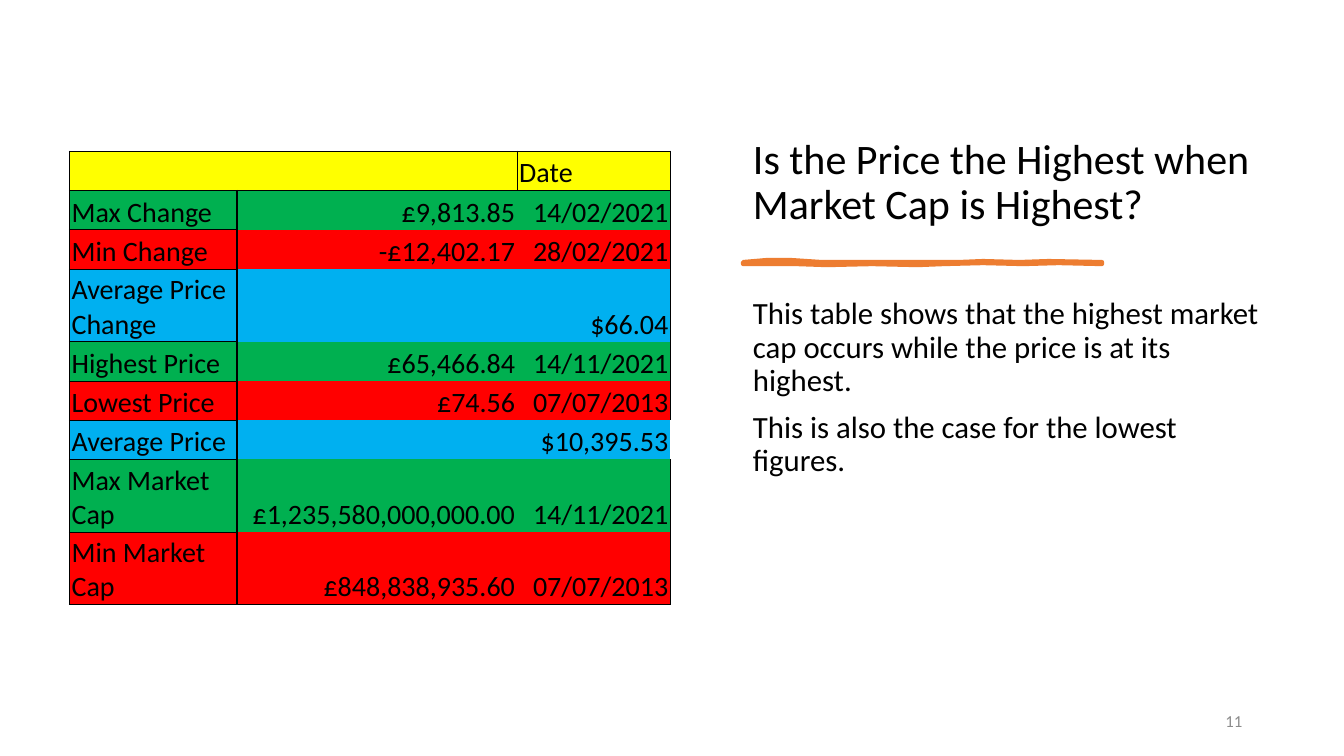
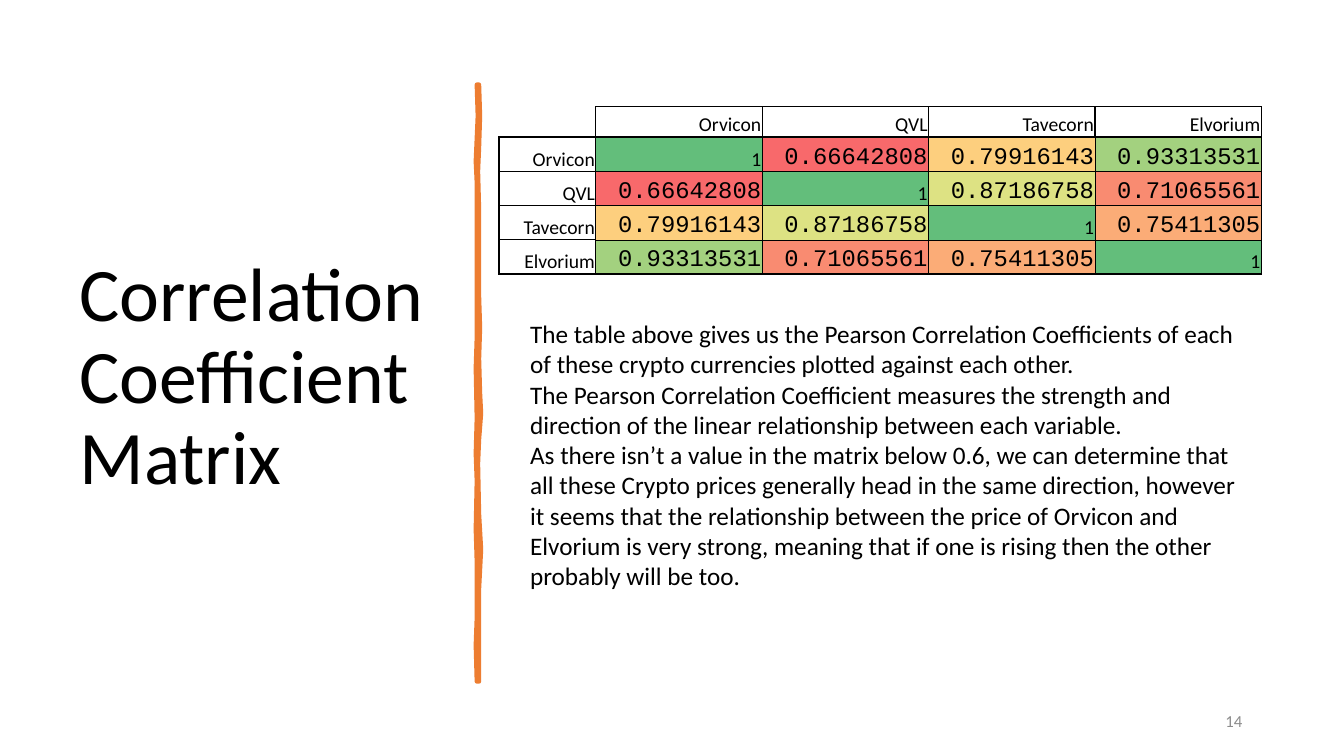
from pptx import Presentation
from pptx.dml.color import RGBColor
from pptx.enum.text import MSO_ANCHOR, PP_ALIGN
from pptx.oxml.ns import qn
from pptx.util import Inches, Pt
from lxml.etree import SubElement

C = {
    "black": "000000", "grey": "8C8C8C", "orange": "ED7D31",
    "yellow": "FFFF00", "green": "00B050", "red": "FF0000", "blue": "00B0F0",
}
NO_STYLE = "{2D5ABB26-0587-4C30-8999-92F81FD0307C}"
LEFT, RIGHT = PP_ALIGN.LEFT, PP_ALIGN.RIGHT
TOP, MIDDLE, BOTTOM = MSO_ANCHOR.TOP, MSO_ANCHOR.MIDDLE, MSO_ANCHOR.BOTTOM


def write(tf, lines, size, font="Calibri", color="black", align=LEFT,
          spacing=1.0, before=0):
    """Fill a text frame, one paragraph per line."""
    tf.word_wrap = True
    for i, line in enumerate(lines):
        p = tf.add_paragraph() if i else tf.paragraphs[0]
        p.alignment = align
        p.line_spacing = spacing
        p.space_before = Pt(before)
        if not line:
            SubElement(p._p, qn("a:endParaRPr"), sz=str(size * 100))
            continue
        r = p.add_run()
        r.text = line
        r.font.size = Pt(size)
        r.font.name = font
        r.font.color.rgb = RGBColor.from_string(C[color])


def format_cell(cell, text, borders, fill=None, inset=0.02, **style):
    """Set a cell's borders (side -> points), fill and bottom-anchored text."""
    tcPr = cell._tc.get_or_add_tcPr()
    for side in "LRTB":
        width = borders.get(side, 0)
        ln = SubElement(tcPr, qn("a:ln" + side), w=str(Pt(width)))
        if width:
            solid = SubElement(ln, qn("a:solidFill"))
            SubElement(solid, qn("a:srgbClr"), val=C["black"])
        else:
            SubElement(ln, qn("a:noFill"))
    if fill:
        cell.fill.solid()
        cell.fill.fore_color.rgb = RGBColor.from_string(fill)
    else:
        cell.fill.background()
    cell.margin_left = cell.margin_right = cell.margin_top = Inches(inset)
    cell.margin_bottom = 0
    cell.vertical_anchor = BOTTOM
    write(cell.text_frame, [text], **style)


prs = Presentation()
prs.slide_width, prs.slide_height = Inches(13.33), Inches(7.5)
price_slide, matrix_slide = [
    prs.slides.add_slide(prs.slide_layouts[6]) for _ in range(2)]

# Titles, body text and page numbers
page_style = dict(size=12, color="grey", align=RIGHT)
page_box = (9.42, 6.95, 3, 0.4)
texts = [
    (price_slide, (7.37, 0.7, 5.27, 1.62), BOTTOM,
     ["Is the Price the Highest when Market Cap is Highest?"],
     dict(size=30, spacing=0.9)),
    (price_slide, (7.37, 2.91, 5.27, 3.88), TOP,
     ["This table shows that the highest market cap occurs while the price "
      "is at its highest.",
      "This is also the case for the lowest figures."],
     dict(size=22, spacing=0.9, before=10)),
    (price_slide, page_box, MIDDLE, ["11"], page_style),
    (matrix_slide, (0.69, 0.7, 3.74, 6.11), MIDDLE,
     ["Correlation Coefficient Matrix"], dict(size=54, spacing=0.9)),
    (matrix_slide, (5.16, 3.11, 7.34, 2.83), TOP,
     ["The table above gives us the Pearson Correlation Coefficients of each "
      "of these crypto currencies plotted against each other.",
      "The Pearson Correlation Coefficient measures the strength and "
      "direction of the linear relationship between each variable.",
      "As there isn’t a value in the matrix below 0.6, we can determine that "
      "all these Crypto prices generally head in the same direction, however "
      "it seems that the relationship between the price of Orvicon and "
      "Elvorium is very strong, meaning that if one is rising then the other "
      "probably will be too."],
     dict(size=18)),
    (matrix_slide, page_box, MIDDLE, ["14"], page_style),
]
for s, box, anchor, lines, style in texts:
    tf = s.shapes.add_textbox(*map(Inches, box)).text_frame
    tf.vertical_anchor = anchor
    write(tf, lines, **style)

# Hand-drawn strokes: outline points and line width
strokes = [
    (price_slide, 3, [
        (7.37, 2.6), (7.6, 2.58), (7.85, 2.58), (8.15, 2.6), (8.76, 2.6),
        (9.2, 2.6), (9.51, 2.6), (9.75, 2.59), (10.11, 2.6), (10.4, 2.59),
        (10.93, 2.6), (10.93, 2.62), (10.5, 2.61), (10.15, 2.62),
        (9.75, 2.61), (9.36, 2.62), (9.1, 2.63), (8.65, 2.62), (8.2, 2.63),
        (7.9, 2.62), (7.37, 2.62)]),
    (matrix_slide, 3.25, [
        (4.75, 0.84), (4.76, 1.15), (4.75, 1.46), (4.74, 1.7), (4.75, 2.08),
        (4.75, 2.94), (4.76, 3.25), (4.75, 3.56), (4.76, 3.9), (4.77, 4.1),
        (4.75, 4.36), (4.74, 4.6), (4.75, 5.1), (4.77, 5.45), (4.75, 5.84),
        (4.75, 6.76), (4.73, 6.76), (4.72, 6.4), (4.73, 6.13), (4.73, 5.57),
        (4.72, 5.25), (4.73, 4.77), (4.72, 4.5), (4.73, 4.15), (4.72, 3.65),
        (4.73, 3.35), (4.73, 2.5), (4.73, 1.81), (4.72, 1.6), (4.74, 1.15),
        (4.73, 0.84)]),
]
for s, width, outline in strokes:
    points = [(Inches(x), Inches(y)) for x, y in outline]
    builder = s.shapes.build_freeform(*points[0], scale=1.0)
    builder.add_line_segments(points[1:], close=True)
    sp = builder.convert_to_shape()
    sp.shadow.inherit = False
    sp.fill.solid()
    sp.fill.fore_color.rgb = RGBColor.from_string(C["orange"])
    sp.line.color.rgb = RGBColor.from_string(C["orange"])
    sp.line.width = Pt(width)

# Table contents
price_rows = [
    ("yellow", "", "", "Date"),
    ("green", "Max Change", "£9,813.85", "14/02/2021"),
    ("red", "Min Change", "-£12,402.17", "28/02/2021"),
    ("blue", "Average Price Change", "", "$66.04"),
    ("green", "Highest Price", "£65,466.84", "14/11/2021"),
    ("red", "Lowest Price", "£74.56", "07/07/2013"),
    ("blue", "Average Price", "", "$10,395.53"),
    ("green", "Max Market Cap", "£1,235,580,000,000.00", "14/11/2021"),
    ("red", "Min Market Cap", "£848,838,935.60", "07/07/2013"),
]
coins = ["Orvicon", "QVL", "Tavecorn", "Elvorium"]
correlations = [
    ["1", "0.66642808", "0.79916143", "0.93313531"],
    ["0.66642808", "1", "0.87186758", "0.71065561"],
    ["0.79916143", "0.87186758", "1", "0.75411305"],
    ["0.93313531", "0.71065561", "0.75411305", "1"],
]
heat = {
    "1": "63BE7B", "0.93313531": "A3D17F", "0.87186758": "DDE283",
    "0.79916143": "FDCF7E", "0.75411305": "FBAC77", "0.71065561": "F98B71",
    "0.66642808": "F8696B",
}

# Empty tables
tables = []
for s, left, top, widths, heights in [
    (price_slide, 0.69, 1.5, [1.66, 2.78, 1.52],
     [0.72 if row[1] in ("Average Price Change", "Max Market Cap",
                         "Min Market Cap") else 0.39 for row in price_rows]),
    (matrix_slide, 4.95, 1.06, [0.96] + [1.65] * 4, [0.3] + [0.34] * 4),
]:
    table = s.shapes.add_table(
        len(heights), len(widths), Inches(left), Inches(top),
        Inches(sum(widths)), Inches(sum(heights))).table
    table._tbl.tblPr[0].text = NO_STYLE
    table.first_row = table.horz_banding = False
    for col, width in zip(table.columns, widths):
        col.width = Inches(width)
    for row, height in zip(table.rows, heights):
        row.height = Inches(height)
    tables.append(table)
price_table, matrix_table = tables

# Price table: boxed header and labels, open grid for the values
last = len(price_rows) - 1
for i, (color, *values) in enumerate(price_rows):
    for j, text in enumerate(values):
        if i == 0:
            borders = dict(T=1, B=1, L=j != 1, R=j != 0)
        elif j == 0:
            borders = dict(L=1, R=1, T=1 if i == 1 else 0.5,
                           B=1 if i == last else 0.5)
        else:
            borders = dict(L=j == 1, R=j == 2 and text != "$10,395.53",
                           T=i == 1, B=i == last)
        format_cell(price_table.cell(i, j), text, borders, fill=C[color],
                    size=20, align=RIGHT if i and j else LEFT)

# Correlation matrix: thin inner lines, full-width outer lines
grid = [[""] + coins] + [[coin] + row for coin, row in zip(coins, correlations)]
for i, row in enumerate(grid):
    for j, text in enumerate(row):
        if i and j:
            borders = dict(L=1 if j == 1 else 0.5, R=1 if j == 4 else 0.5,
                           T=1 if i == 1 else 0.5, B=1 if i == 4 else 0.5)
        else:
            outer = 1 if i or j else 0
            borders = dict(L=outer, T=outer, R=1, B=1)
        decimal = text.startswith("0.")
        format_cell(matrix_table.cell(i, j), text, borders,
                    fill=heat.get(text), inset=0.01, align=RIGHT,
                    size=17 if decimal else 14,
                    font="Courier New" if decimal else "Calibri")

prs.save("out.pptx")
